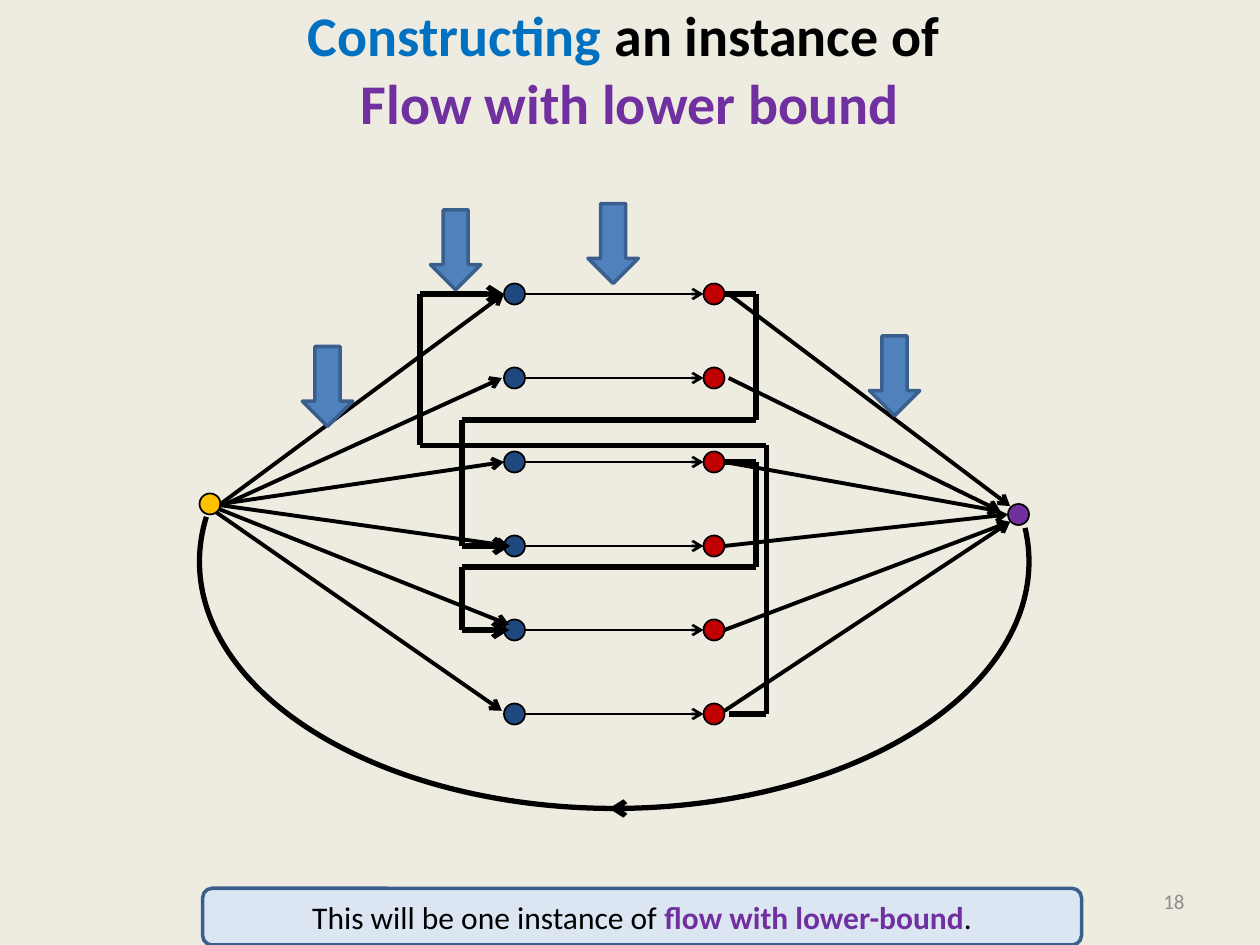
from itertools import pairwise

from lxml.etree import SubElement
from pptx import Presentation
from pptx.dml.color import RGBColor
from pptx.enum.shapes import MSO_CONNECTOR as CONN, MSO_SHAPE as SHAPE
from pptx.enum.text import MSO_ANCHOR as ANCHOR, PP_ALIGN as ALIGN
from pptx.oxml.ns import qn
from pptx.util import Inches, Pt

COLORS = {
    "paper": "EEECE1", "ink": "000000", "blue": "0070C0", "purple": "7030A0",
    "grey": "8C8C8C", "navy": "1F497D", "red": "C00000", "gold": "FFC000",
    "arrow": "4F81BD", "edge": "3A5F8C", "pale": "DCE6F2",
}
COLS, ROWS = 120, 90
LEFT, RIGHT = 49, 68
LANES = [28 + 8 * i for i in range(6)]


class Deck:
    font = "Calibri"

    def __init__(self):
        self.prs = Presentation()
        self.prs.slide_width, self.prs.slide_height = Inches(10), Inches(7.5)
        self.s = self.prs.slides.add_slide(self.prs.slide_layouts[5])
        fill = self.s.background.fill
        fill.solid()
        fill.fore_color.rgb = self.rgb("paper")

    def rgb(self, name):
        return RGBColor.from_string(COLORS[name])

    def x(self, col):
        return round(self.prs.slide_width * col / COLS)

    def y(self, row):
        return round(self.prs.slide_height * row / ROWS)

    def box(self, col, row, w, h):
        return self.x(col), self.y(row), self.x(w), self.y(h)

    def add_text(self, sp, lines, size, align=ALIGN.CENTER):
        tf = sp.text_frame
        tf.word_wrap = True
        tf.vertical_anchor = ANCHOR.MIDDLE
        p = tf.paragraphs[0]
        p.alignment = align
        for i, line in enumerate(lines):
            if i:
                p.add_line_break()
            for text, color, bold in line:
                r = p.add_run()
                r.text = text
                r.font.name, r.font.size, r.font.bold = self.font, Pt(size), bold
                r.font.color.rgb = self.rgb(color)

    def title(self, lines, col, row, w, h):
        sp = self.s.shapes.title
        sp.left, sp.top, sp.width, sp.height = self.box(col, row, w, h)
        self.add_text(sp, lines, 32)

    def label(self, text, col, row, w, h):
        sp = self.s.shapes.add_textbox(*self.box(col, row, w, h))
        self.add_text(sp, [[(text, "grey", False)]], 12, ALIGN.RIGHT)

    def shape(self, kind, col, row, w, h, fill=None, line="ink", width=1):
        sp = self.s.shapes.add_shape(kind, *self.box(col, row, w, h))
        sp.shadow.inherit = False
        if fill:
            sp.fill.solid()
            sp.fill.fore_color.rgb = self.rgb(fill)
        else:
            sp.fill.background()
        sp.line.color.rgb = self.rgb(line)
        sp.line.width = Pt(width)
        return sp

    def node(self, col, row, fill):
        self.shape(SHAPE.OVAL, col - 1, row - 1, 2, 2, fill)

    def pointer(self, col, row):
        self.shape(SHAPE.DOWN_ARROW, col, row, 4.8, 7.6, "arrow", "edge", 2)

    def line(self, start, end, width, arrow=True):
        c = self.s.shapes.add_connector(
            CONN.STRAIGHT, self.x(start[0]), self.y(start[1]), self.x(end[0]), self.y(end[1]))
        c.line.color.rgb = self.rgb("ink")
        c.line.width = Pt(width)
        sp_pr = c._element.spPr
        if arrow:
            SubElement(sp_pr.find(qn("a:ln")), qn("a:tailEnd"), type="arrow")
        SubElement(sp_pr, qn("a:effectLst"))

    def route(self, points):
        for start, end in pairwise(points):
            self.line(start, end, 3, arrow=end == points[-1])


def main():
    d = Deck()
    d.title([[("Constructing", "blue", True), (" an instance of ", "ink", True)],
             [("Flow with lower bound", "purple", True)]], 6, -1, 108, 15)
    d.label("18", 86, 83.4, 28, 4.8)

    for row in LANES:
        d.node(RIGHT, row, "red")
        d.node(LEFT, row, "navy")
        d.line((LEFT + 1, row), (RIGHT - 1, row), 1.5)
    d.node(20, 48, "gold")
    d.node(97, 49, "purple")

    detours = [
        (LANES[2], 69, 72, 54, 44, LANES[4], 47, 48.5),
        (LANES[0], 69, 72, 40, 44, LANES[3], 47.2, 48.6),
        (LANES[5], 69.4, 73, 42.4, 40, LANES[0], 46.2, 48),
    ]
    for start, out, right, middle, left, end, neck, tip in detours:
        d.route([(out, start), (right, start), (right, middle), (left, middle),
                 (left, end), (neck, end), (tip, end)])

    arc = d.shape(SHAPE.ARC, 19, 30, 79, 47, width=3)
    arc.adjustments[0], arc.adjustments[1] = 213.18, 111.77
    d.line((60, 77), (58, 77), 3)

    source_edges = [
        ((21, 48), (48, 28)), ((21.5, 48), (47.8, 36)), ((21, 48), (48, 44)),
        ((20.9, 48.1), (48.5, 52)), ((20.9, 48.5), (48.5, 59.5)), ((20.6, 48.8), (47.8, 67.7)),
    ]
    sink_edges = [
        ((69.4, 28), (96.2, 48.2)), ((69.4, 36), (95.3, 48.7)), ((69, 44), (95.3, 48.7)),
        ((69, 52), (96, 49)), ((69, 60), (96.2, 49.7)), ((69, 67.7), (96.2, 49.7)),
    ]
    for start, end in source_edges + sink_edges:
        d.line(start, end, 2.25)

    for col, row in [(56, 19.4), (28.8, 33), (41, 20), (82.8, 32)]:
        d.pointer(col, row)

    caption = d.shape(SHAPE.ROUNDED_RECTANGLE, 19.3, 84.6, 83.7, 5.4, "pale", "edge", 2)
    d.add_text(caption, [[("This will be one instance of ", "ink", False),
                          ("flow with lower-bound", "purple", True), (".", "ink", False)]], 18)
    d.prs.save("out.pptx")


if __name__ == "__main__":
    main()
